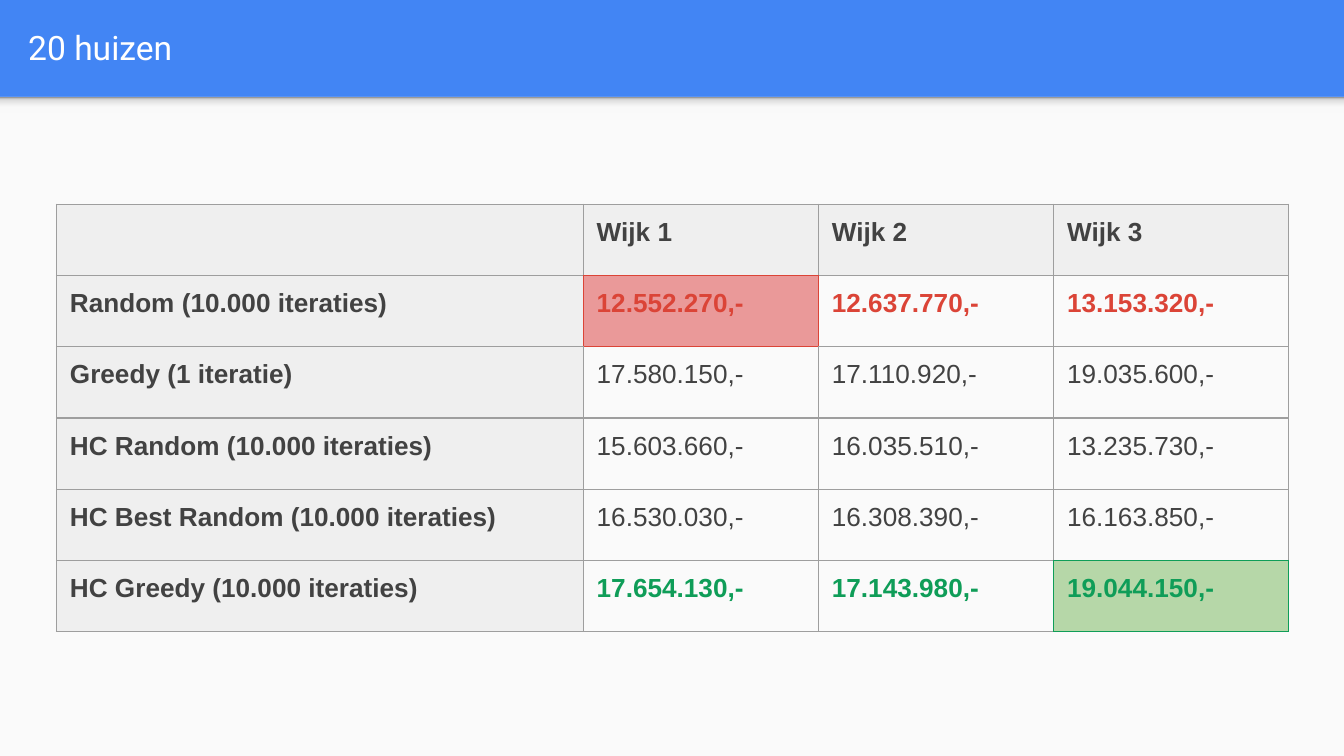
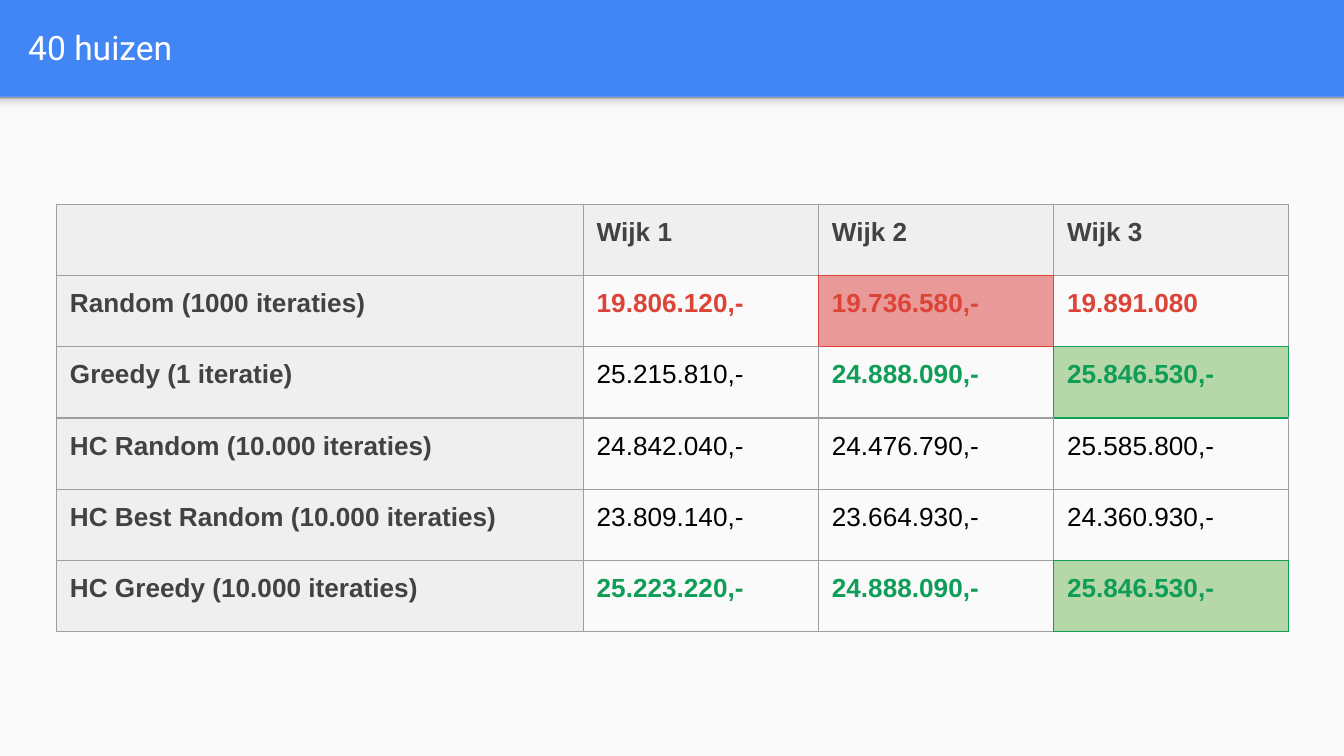
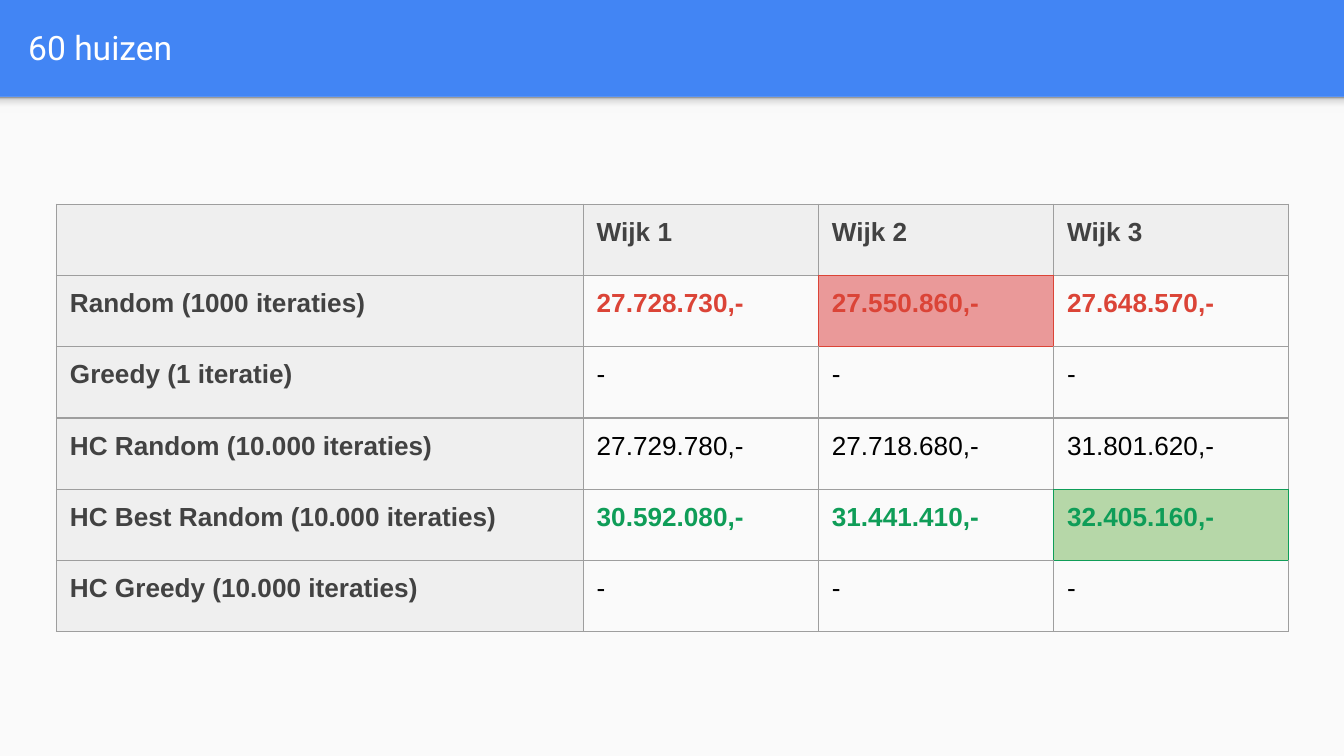
from dataclasses import dataclass

from lxml import etree
from pptx import Presentation
from pptx.dml.color import RGBColor
from pptx.enum.shapes import MSO_SHAPE
from pptx.enum.text import MSO_ANCHOR, PP_ALIGN
from pptx.oxml.ns import qn
from pptx.util import Inches, Pt

RECTANGLE = MSO_SHAPE.RECTANGLE
MIDDLE = MSO_ANCHOR.MIDDLE
LEFT = PP_ALIGN.LEFT


@dataclass(frozen=True)
class Theme:
    header: str = "4285F4"
    panel: str = "FAFAFA"
    title: str = "FFFFFF"
    text: str = "424242"
    black: str = "000000"
    label_fill: str = "EFEFEF"
    border: str = "9E9E9E"
    low: str = "DB4437"
    low_fill: str = "EA9999"
    high: str = "0F9D58"
    high_fill: str = "B6D7A8"
    band_stops: tuple = ((0, "F9F9F9"), (36, "F9F9F9"), (80, "DEDEDE"), (100, "999999"))
    title_font: str = "Roboto"
    table_font: str = "Arial"
    title_size: int = 18
    table_size: int = 14
    border_width: float = 0.75


THEME = Theme()
SLIDE_WIDTH, SLIDE_HEIGHT = 10, 5.625
HEADER_HEIGHT = 0.72
COLUMN_WIDTHS = (3.92, 1.75, 1.75, 1.75)
ROW_HEIGHT = 0.53
MARGIN = Inches(0.1)
# Border tag and the row and column step to the cell on that side
SIDES = (("a:lnL", 0, -1), ("a:lnR", 0, 1), ("a:lnT", -1, 0), ("a:lnB", 1, 0))

DISTRICTS = ("", "Wijk 1", "Wijk 2", "Wijk 3")
METHODS = (
    "Greedy (1 iteratie)",
    "HC Random (10.000 iteraties)",
    "HC Best Random (10.000 iteraties)",
    "HC Greedy (10.000 iteraties)",
)
# Title, label of the random method, colour of plain values, values by method
RESULTS = (
    ("20 huizen", "Random (10.000 iteraties)", THEME.text, (
        ("12.552.270,-", "12.637.770,-", "13.153.320,-"),
        ("17.580.150,-", "17.110.920,-", "19.035.600,-"),
        ("15.603.660,-", "16.035.510,-", "13.235.730,-"),
        ("16.530.030,-", "16.308.390,-", "16.163.850,-"),
        ("17.654.130,-", "17.143.980,-", "19.044.150,-"),
    )),
    ("40 huizen", "Random (1000 iteraties)", THEME.black, (
        ("19.806.120,-", "19.736.580,-", "19.891.080"),
        ("25.215.810,-", "24.888.090,-", "25.846.530,-"),
        ("24.842.040,-", "24.476.790,-", "25.585.800,-"),
        ("23.809.140,-", "23.664.930,-", "24.360.930,-"),
        ("25.223.220,-", "24.888.090,-", "25.846.530,-"),
    )),
    ("60 huizen", "Random (1000 iteraties)", THEME.black, (
        ("27.728.730,-", "27.550.860,-", "27.648.570,-"),
        ("-", "-", "-"),
        ("27.729.780,-", "27.718.680,-", "31.801.620,-"),
        ("30.592.080,-", "31.441.410,-", "32.405.160,-"),
        ("-", "-", "-"),
    )),
)


def rgb(color):
    return RGBColor.from_string(color)


def set_font(paragraph, name, size, color, bold=False):
    font = paragraph.font
    font.name = name
    font.size = Pt(size)
    font.bold = bold
    font.color.rgb = rgb(color)


def add_rectangle(slide, top, height):
    shape = slide.shapes.add_shape(
        RECTANGLE, 0, Inches(top), Inches(SLIDE_WIDTH), Inches(height))
    shape.shadow.inherit = False
    shape.line.fill.background()
    return shape


def fill_gradient(shape, stops):
    """Fill upwards with (percentage, colour) stops."""
    shape.fill.gradient()
    shape.fill.gradient_angle = 90
    stop_list = shape.element.spPr.find(qn("a:gradFill")).find(qn("a:gsLst"))
    for stop in list(stop_list):
        stop_list.remove(stop)
    for position, color in stops:
        stop = etree.SubElement(stop_list, qn("a:gs"), pos=str(position * 1000))
        etree.SubElement(stop, qn("a:srgbClr"), val=color)


def decorate_layout(layout, slide):
    """Draw the panel and its shadow band on the slide and move them to the layout."""
    layout.background.fill.solid()
    layout.background.fill.fore_color.rgb = rgb(THEME.header)
    for placeholder in list(layout.placeholders)[1:]:
        layout.shapes.element.remove(placeholder.element)
    panel = add_rectangle(slide, HEADER_HEIGHT, SLIDE_HEIGHT - HEADER_HEIGHT)
    panel.fill.solid()
    panel.fill.fore_color.rgb = rgb(THEME.panel)
    band = add_rectangle(slide, HEADER_HEIGHT, 0.12)
    fill_gradient(band, THEME.band_stops)
    for shape in (panel, band):
        layout.shapes.element.append(shape.element)


def set_title(slide, text):
    title = slide.shapes.title
    title.left, title.top = Inches(0.11), Inches(0.02)
    title.width, title.height = Inches(9.65), Inches(0.66)
    frame = title.text_frame
    frame.margin_left = frame.margin_right = MARGIN
    frame.margin_top = frame.margin_bottom = MARGIN
    frame.vertical_anchor = MIDDLE
    frame.text = text
    paragraph = frame.paragraphs[0]
    paragraph.alignment = LEFT
    set_font(paragraph, THEME.title_font, THEME.title_size, THEME.title)


def amount(text):
    """Return the number in a price, or None for a lone dash."""
    digits = "".join(character for character in text if character.isdigit())
    return int(digits) if digits else None


def find_extremes(values):
    """Map table positions to (colour, fill): column extremes get a colour, overall ones a fill too."""
    amounts = [[amount(text) for text in row] for row in values]
    known = [[number for number in column if number is not None]
             for column in zip(*amounts)]
    everything = sum(known, [])
    marks = {}
    for pick, color, fill in ((min, THEME.low, THEME.low_fill),
                              (max, THEME.high, THEME.high_fill)):
        for row, numbers in enumerate(amounts, 1):
            for column, number in enumerate(numbers, 1):
                if number == pick(known[column - 1]):
                    overall = number == pick(everything)
                    marks[row, column] = (color, fill if overall else None)
    return marks


def set_borders(cell, row, column, highlights):
    """Draw grey borders, coloured where the cell or its neighbour is highlighted."""
    properties = cell._tc.get_or_add_tcPr()
    for tag, row_step, column_step in SIDES:
        neighbour = highlights.get((row + row_step, column + column_step), THEME.border)
        color = highlights.get((row, column), neighbour)
        line = etree.SubElement(properties, qn(tag), w=str(Pt(THEME.border_width)))
        fill = etree.SubElement(line, qn("a:solidFill"))
        etree.SubElement(fill, qn("a:srgbClr"), val=color)


def format_cell(cell, text, color, bold, fill):
    cell.margin_left = cell.margin_right = MARGIN
    cell.margin_top = cell.margin_bottom = MARGIN
    if fill:
        cell.fill.solid()
        cell.fill.fore_color.rgb = rgb(fill)
    else:
        cell.fill.background()
    cell.text = text
    set_font(cell.text_frame.paragraphs[0], THEME.table_font, THEME.table_size, color, bold)


def add_results_table(slide, methods, values, value_color):
    rows = [DISTRICTS] + [(method, *prices) for method, prices in zip(methods, values)]
    table = slide.shapes.add_table(
        len(rows), len(DISTRICTS), Inches(0.42), Inches(1.52),
        Inches(sum(COLUMN_WIDTHS)), Inches(ROW_HEIGHT * len(rows))).table
    table.first_row = table.horz_banding = False
    for column, width in zip(table.columns, COLUMN_WIDTHS):
        column.width = Inches(width)
    for row in table.rows:
        row.height = Inches(ROW_HEIGHT)

    marks = find_extremes(values)
    highlights = {place: color for place, (color, fill) in marks.items() if fill}
    for row, texts in enumerate(rows):
        for column, text in enumerate(texts):
            is_label = row == 0 or column == 0
            plain = (THEME.text, THEME.label_fill) if is_label else (value_color, None)
            color, fill = marks.get((row, column), plain)
            bold = is_label or (row, column) in marks
            cell = table.cell(row, column)
            set_borders(cell, row, column, highlights)
            format_cell(cell, text, color, bold, fill)


def main():
    presentation = Presentation()
    presentation.slide_width = Inches(SLIDE_WIDTH)
    presentation.slide_height = Inches(SLIDE_HEIGHT)
    layout = presentation.slide_layouts.get_by_name("Title Only")
    for index, (title, random_method, value_color, values) in enumerate(RESULTS):
        slide = presentation.slides.add_slide(layout)
        if index == 0:
            decorate_layout(layout, slide)
        set_title(slide, title)
        add_results_table(slide, (random_method, *METHODS), values, value_color)
    presentation.save("out.pptx")


if __name__ == "__main__":
    main()
